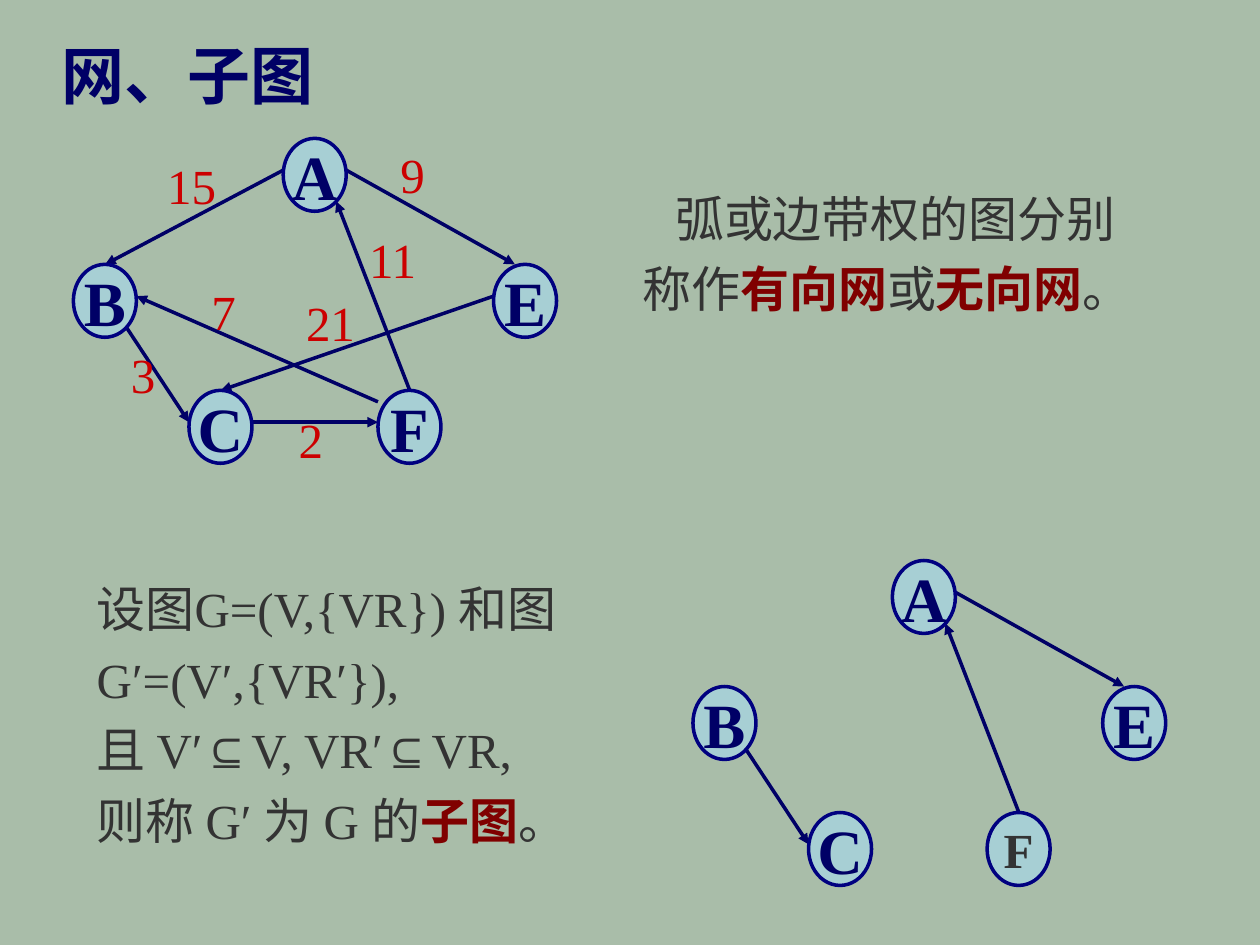
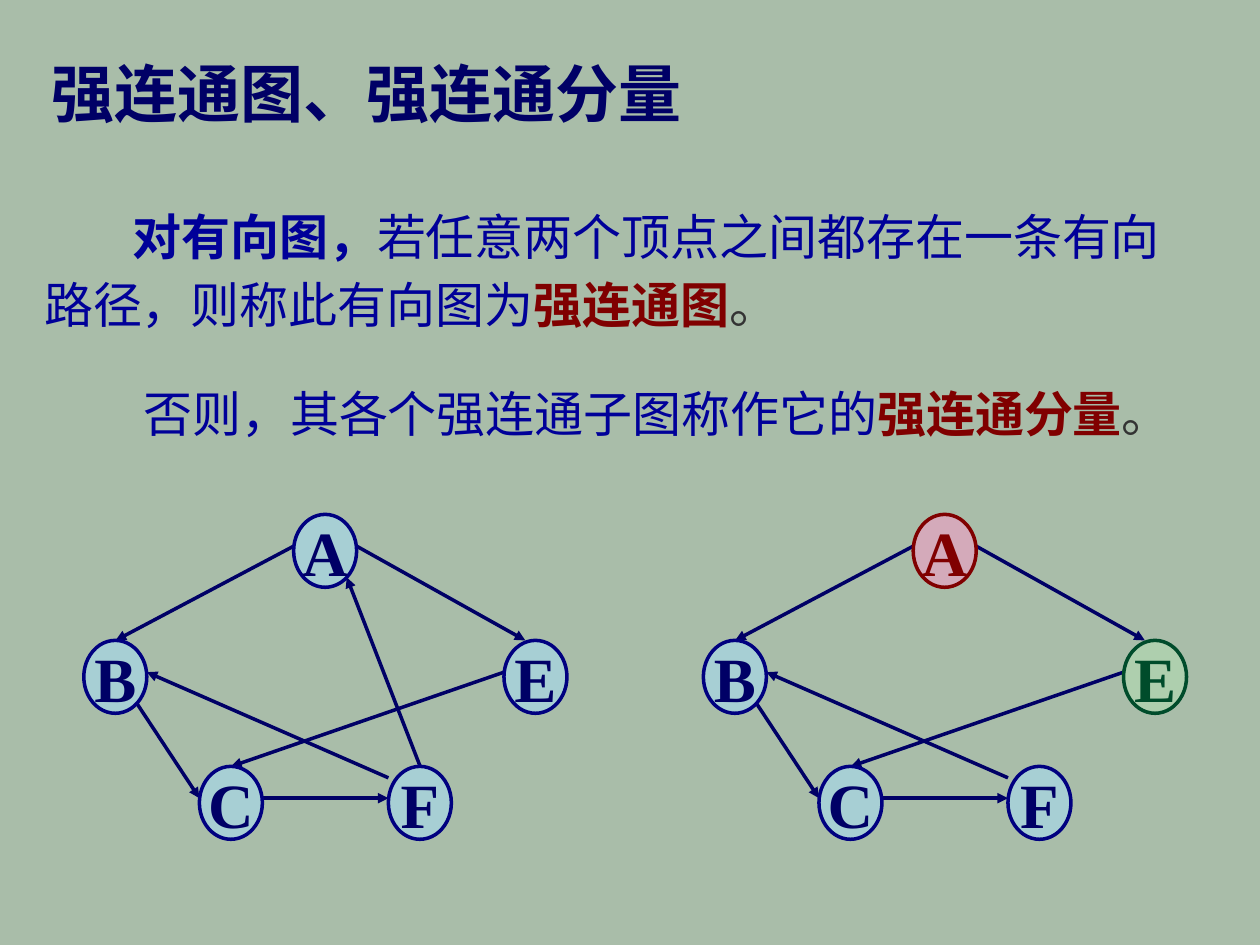
from lxml.etree import SubElement
from pptx import Presentation
from pptx.dml.color import RGBColor
from pptx.enum.shapes import MSO_CONNECTOR as Connector, MSO_SHAPE as Shape
from pptx.enum.text import MSO_ANCHOR as Anchor, MSO_AUTO_SIZE as AutoSize, PP_ALIGN as Align
from pptx.oxml.ns import qn
from pptx.util import Cm, Pt

FONT = "Times New Roman"
BACKGROUND, NAVY, WEIGHT_RED = "A9BDA9", "000066", "CC0000"
BODY, TERM = ("333333", False), ("800000", True)
STATEMENT, LEAD = ("000099", False), ("000099", True)

NODE_WIDTH, NODE_HEIGHT = 1.27, 1.47
PLAIN_NODE = ("A7E2FF", "000080", NAVY, 36)
SMALL_NODE = ("A7E2FF", "000080", "333333", 28)
RED_NODE = ("FF99CC", "800000", "800000", 36)
GREEN_NODE = ("B3E1B3", "004C2B", "004C2B", 36)

NODES = {"A": (4.23, 0), "B": (0, 2.54), "E": (8.47, 2.54), "C": (2.33, 5.08), "F": (6.14, 5.08)}
LEFT, RIGHT, TOP = (0, 0.64), (1.27, 0.64), (0.64, 0)
LOWER_RIGHT, UPPER_LEFT, TOP_LEFT = (1.07, 1.27), (0, 0.23), (0.43, 0)
EDGES = {
    "AB": (LEFT, TOP),
    "BC": (LOWER_RIGHT, LEFT),
    "CF": (RIGHT, LEFT),
    "FA": (TOP, LOWER_RIGHT),
    "AE": (RIGHT, TOP_LEFT),
    "FB": (UPPER_LEFT, RIGHT),
    "EC": (LEFT, TOP),
}
WEIGHTS = [
    ("15", 3.12, 3.02), ("9", 7.82, 2.79), ("7", 4.01, 5.56), ("21", 5.92, 5.77),
    ("11", 7.19, 4.5), ("3", 2.39, 6.83), ("2", 5.77, 8.13),
]


def rgb(value):
    """Turn a hex string into a colour."""
    return RGBColor.from_string(value)


class Deck:
    """Holds the presentation, its style and the current slide."""

    def __init__(self):
        """Open an empty deck of the right size."""
        self.deck = Presentation()
        self.deck.slide_width, self.deck.slide_height = Cm(25.4), Cm(19.05)
        self.slide = None

    def new_slide(self):
        """Start a blank slide with the shared background."""
        self.slide = self.deck.slides.add_slide(self.deck.slide_layouts[6])
        fill = self.slide.background.fill
        fill.solid()
        fill.fore_color.rgb = rgb(BACKGROUND)

    def style(self, run, size, colour, bold):
        """Format one run."""
        run.font.name, run.font.size, run.font.bold = FONT, Pt(size), bold
        run.font.color.rgb = rgb(colour)

    def box(self, left, top, width, height, wrap):
        """Add an empty text box and return its frame."""
        frame = self.slide.shapes.add_textbox(Cm(left), Cm(top), Cm(width), Cm(height)).text_frame
        frame.word_wrap, frame.auto_size = wrap, AutoSize.SHAPE_TO_FIT_TEXT
        return frame

    def label(self, text, left, top, width, height, size, colour, bold=False):
        """Add one unwrapped line of text."""
        frame = self.box(left, top, width, height, False)
        frame.text = text
        self.style(frame.paragraphs[0].runs[0], size, colour, bold)

    def title(self, text, left, top, width):
        """Add the slide title."""
        self.label(text, left, top, width, 1.8, 36, NAVY, True)

    def weight(self, text, left, top):
        """Add the weight of an edge."""
        self.label(text, left, top, 0.52 + 0.49 * len(text), 1.45, 28, WEIGHT_RED)

    def prose(self, paragraphs, left, top, width, height, spacing=1.2, indent=0.0):
        """Add wrapped paragraphs made of (text, look) parts."""
        frame = self.box(left, top, width, height, True)
        for index, parts in enumerate(paragraphs):
            paragraph = frame.add_paragraph() if index else frame.paragraphs[0]
            paragraph.line_spacing = spacing
            if indent:
                paragraph._p.get_or_add_pPr().set("indent", str(Cm(indent)))
            for text, look in parts:
                run = paragraph.add_run()
                run.text = text
                self.style(run, 28, *look)

    def arrow(self, start, end):
        """Add a straight arrow between two points."""
        points = [Cm(value) for value in (*start, *end)]
        edge = self.slide.shapes.add_connector(Connector.STRAIGHT, *points)
        edge.line.color.rgb, edge.line.width = rgb(NAVY), Pt(2)
        properties = edge.element.spPr
        SubElement(properties.find(qn("a:ln")), qn("a:tailEnd"), type="triangle")
        SubElement(properties, qn("a:effectLst"))

    def node(self, letter, left, top, look):
        """Add a half-transparent vertex with its letter."""
        fill, outline, colour, size = look
        vertex = self.slide.shapes.add_shape(
            Shape.OVAL, Cm(left), Cm(top), Cm(NODE_WIDTH), Cm(NODE_HEIGHT))
        vertex.shadow.inherit = False
        vertex.fill.solid()
        vertex.fill.fore_color.rgb = rgb(fill)
        SubElement(vertex.element.spPr.find(f".//{qn('a:srgbClr')}"), qn("a:alpha"), val="50000")
        vertex.line.color.rgb, vertex.line.width = rgb(outline), Pt(2)
        frame = vertex.text_frame
        frame.text, frame.word_wrap, frame.vertical_anchor = letter, False, Anchor.MIDDLE
        frame.paragraphs[0].alignment = Align.CENTER
        self.style(frame.paragraphs[0].runs[0], size, colour, True)

    def graph(self, left, top, letters="ABECF", edges=tuple(EDGES), looks=None):
        """Draw the chosen vertices and edges from one corner."""
        looks = looks or {}
        places = {letter: (left + x, top + y) for letter, (x, y) in NODES.items()}
        for edge in edges:
            ends = [(places[letter][0] + dx, places[letter][1] + dy)
                    for letter, (dx, dy) in zip(edge, EDGES[edge])]
            self.arrow(*ends)
        for letter in letters:
            self.node(letter, *places[letter], looks.get(letter, PLAIN_NODE))

    def save(self):
        """Write the deck."""
        self.deck.save("out.pptx")


def network_slide(deck):
    """Weighted network and subgraph."""
    deck.new_slide()
    deck.graph(1.48, 2.79)
    deck.graph(13.76, 11.3, "AEF", ("FA", "AE"), {"F": SMALL_NODE})
    deck.graph(13.97, 11.3, "BC", ("BC",))
    deck.prose([
        [("设图G=(V,{VR}) 和图 G′=(V′,{VR′}),", BODY)],
        [("且 V′⊆V, VR′⊆VR,", BODY)],
        [("则称 G′ 为 G 的", BODY), ("子图", TERM), ("。", BODY)],
    ], 1.7, 11.3, 11, 5.94)
    for weight in WEIGHTS:
        deck.weight(*weight)
    deck.prose([[
        ("弧或边带权的图分别称作", BODY), ("有向网", TERM), ("或", BODY),
        ("无向网", TERM), ("。", BODY),
    ]], 12.7, 3.43, 11, 3.1, indent=0.66)
    deck.title("网、子图", 0.99, 0.61, 6.93)


def strong_connection_slide(deck):
    """Strongly connected graph and its components."""
    deck.new_slide()
    deck.prose([[
        ("对有向图，", LEAD), ("若任意两个顶点之间都存在一条有向路径，则称此有向图为", STATEMENT),
        ("强连通图", TERM), ("。", BODY),
    ]], 0.64, 3.86, 23.47, 2.97, spacing=1.15, indent=1.78)
    deck.graph(1.69, 10.37)
    remaining = [edge for edge in EDGES if edge != "FA"]
    deck.graph(14.18, 10.37, edges=remaining, looks={"A": RED_NODE, "E": GREEN_NODE})
    deck.prose([[
        ("否则，其各个强连通子图称作它的", STATEMENT), ("强连通分量", TERM), ("。", BODY),
    ]], 2.64, 7.37, 21.67, 1.68)
    deck.title("强连通图、强连通分量", 0.79, 0.97, 13.34)


def main():
    """Build both slides."""
    deck = Deck()
    network_slide(deck)
    strong_connection_slide(deck)
    deck.save()


if __name__ == "__main__":
    main()
